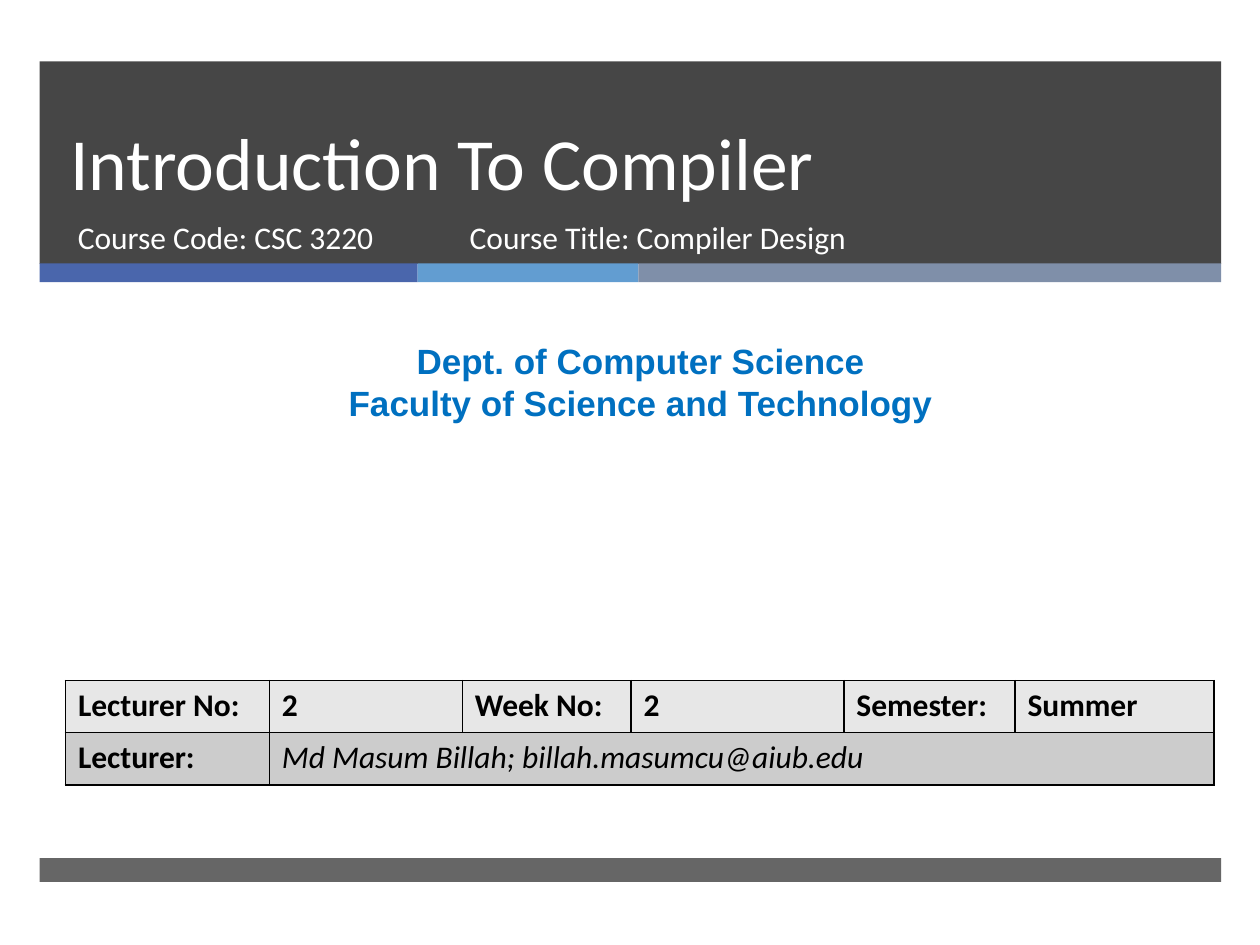
from dataclasses import dataclass, field
from itertools import accumulate

from lxml.etree import SubElement
from pptx import Presentation
from pptx.dml.color import RGBColor
from pptx.enum.shapes import MSO_SHAPE
from pptx.enum.text import MSO_ANCHOR, PP_ALIGN
from pptx.oxml.ns import qn
from pptx.util import Cm, Pt

COLORS = {
    "dark": "262626",
    "indigo": "4A66AC",
    "sky": "629DD1",
    "slate": "7F8FA9",
    "white": "FFFFFF",
    "black": "000000",
    "department": "0070C0",
    "first_row": "E7E7E7",
    "second_row": "CCCCCC",
}

MARGIN = 0.8
BAND_WIDTH = 23.82
STRIP_WIDTHS = (7.62, 4.45, 11.75)
STRIP_COLORS = ("indigo", "sky", "slate")
COLUMN_WIDTHS = (4.11, 3.89, 3.4, 4.29, 3.45, 4.01)
ROW_HEIGHT = 1.05

BODY = {"name": "Calibri", "size": Pt(18)}
LABEL = {**BODY, "bold": True}
CONTACT = {**BODY, "bold": False, "italic": True}
HEADLINE = {"name": "Calibri", "size": Pt(42)}
DEPARTMENT = {"name": "Arial", "size": Pt(20), "bold": True}


@dataclass
class Bar:
    left: float
    top: float
    width: float
    height: float
    color: str
    opacity: int = 100


@dataclass
class Caption:
    left: float
    top: float
    width: float
    height: float
    lines: tuple
    font: dict
    color: str = "white"
    frame: dict = field(default_factory=dict)
    paragraph: dict = field(default_factory=dict)


def apply(target, values: dict) -> None:
    for name, value in values.items():
        setattr(target, name, value)


def rgb(color: str) -> RGBColor:
    return RGBColor.from_string(COLORS[color])


def place(item) -> tuple:
    return tuple(Cm(v) for v in (item.left, item.top, item.width, item.height))


def write(paragraph, text: str, font: dict, color: str) -> None:
    run = paragraph.add_run()
    run.text = text
    apply(run.font, font)
    run.font.color.rgb = rgb(color)


def draw_bar(slide, bar: Bar) -> None:
    shape = slide.shapes.add_shape(MSO_SHAPE.RECTANGLE, *place(bar))
    shape.shadow.inherit = False
    shape.fill.solid()
    shape.fill.fore_color.rgb = rgb(bar.color)
    shape.line.fill.background()
    if bar.opacity < 100:
        color = shape.fill._xPr.find(qn("a:solidFill"))[0]
        SubElement(color, qn("a:alpha"), val=str(bar.opacity * 1000))


def draw_caption(slide, caption: Caption) -> None:
    frame = slide.shapes.add_textbox(*place(caption)).text_frame
    apply(frame, {"word_wrap": True, **caption.frame})
    for index, line in enumerate(caption.lines):
        paragraph = frame.add_paragraph() if index else frame.paragraphs[0]
        apply(paragraph, caption.paragraph)
        write(paragraph, line, caption.font, caption.color)


def fill_cell(cell, color: str) -> None:
    properties = cell._tc.get_or_add_tcPr()
    for side in ("lnL", "lnR", "lnT", "lnB"):
        border = SubElement(properties, qn(f"a:{side}"), w=str(Pt(1)))
        solid = SubElement(border, qn("a:solidFill"))
        SubElement(solid, qn("a:srgbClr"), val=COLORS["black"])
    cell.fill.solid()
    cell.fill.fore_color.rgb = rgb(color)


def draw_lecture_table(slide) -> None:
    rows = (
        (("Lecturer No:", "2", "Week No:", "2", "Semester:", "Summer"), "first_row"),
        (("Lecturer:", "Md Masum Billah; billah.masumcu@aiub.edu"), "second_row"),
    )
    table = slide.shapes.add_table(
        len(rows), len(COLUMN_WIDTHS), Cm(1.32), Cm(13.72),
        Cm(sum(COLUMN_WIDTHS)), Cm(ROW_HEIGHT * len(rows)),
    ).table
    for column, width in zip(table.columns, COLUMN_WIDTHS):
        column.width = Cm(width)
    for row_index, (texts, color) in enumerate(rows):
        table.rows[row_index].height = Cm(ROW_HEIGHT)
        for column_index in range(len(COLUMN_WIDTHS)):
            fill_cell(table.cell(row_index, column_index), color)
        for column_index, text in enumerate(texts):
            font = CONTACT if (row_index, column_index) == (1, 1) else LABEL
            paragraph = table.cell(row_index, column_index).text_frame.paragraphs[0]
            write(paragraph, text, font, "black")
    table.cell(1, 1).merge(table.cell(1, len(COLUMN_WIDTHS) - 1))


def main() -> None:
    presentation = Presentation()
    apply(presentation, {"slide_width": Cm(25.4), "slide_height": Cm(19.05)})
    slide = presentation.slides.add_slide(presentation.slide_layouts[6])

    strip_lefts = accumulate(STRIP_WIDTHS, initial=MARGIN)
    bars = [
        Bar(MARGIN, 1.24, BAND_WIDTH, 4.08, "dark", 85),
        *(Bar(left, 5.31, width, 0.38, color)
          for left, width, color in zip(strip_lefts, STRIP_WIDTHS, STRIP_COLORS)),
        Bar(MARGIN, 17.3, BAND_WIDTH, 0.48, "dark", 70),
    ]
    captions = [
        Caption(1.17, 1.24, 21.69, 3.02, ("Introduction To Compiler",), HEADLINE,
                frame={"vertical_anchor": MSO_ANCHOR.BOTTOM},
                paragraph={"line_spacing": Pt(46)}),
        Caption(1.32, 4.27, 7.75, 1.35, ("Course Code: CSC 3220",), BODY),
        Caption(9.22, 4.27, 11.56, 1.35, ("Course Title: Compiler Design",), BODY),
        Caption(4.42, 6.71, 16.99, 1.96,
                ("Dept. of Computer Science", "Faculty of Science and Technology"),
                DEPARTMENT, "department", paragraph={"alignment": PP_ALIGN.CENTER}),
    ]
    for bar in bars:
        draw_bar(slide, bar)
    for caption in captions:
        draw_caption(slide, caption)
    draw_lecture_table(slide)

    presentation.save("out.pptx")


if __name__ == "__main__":
    main()
